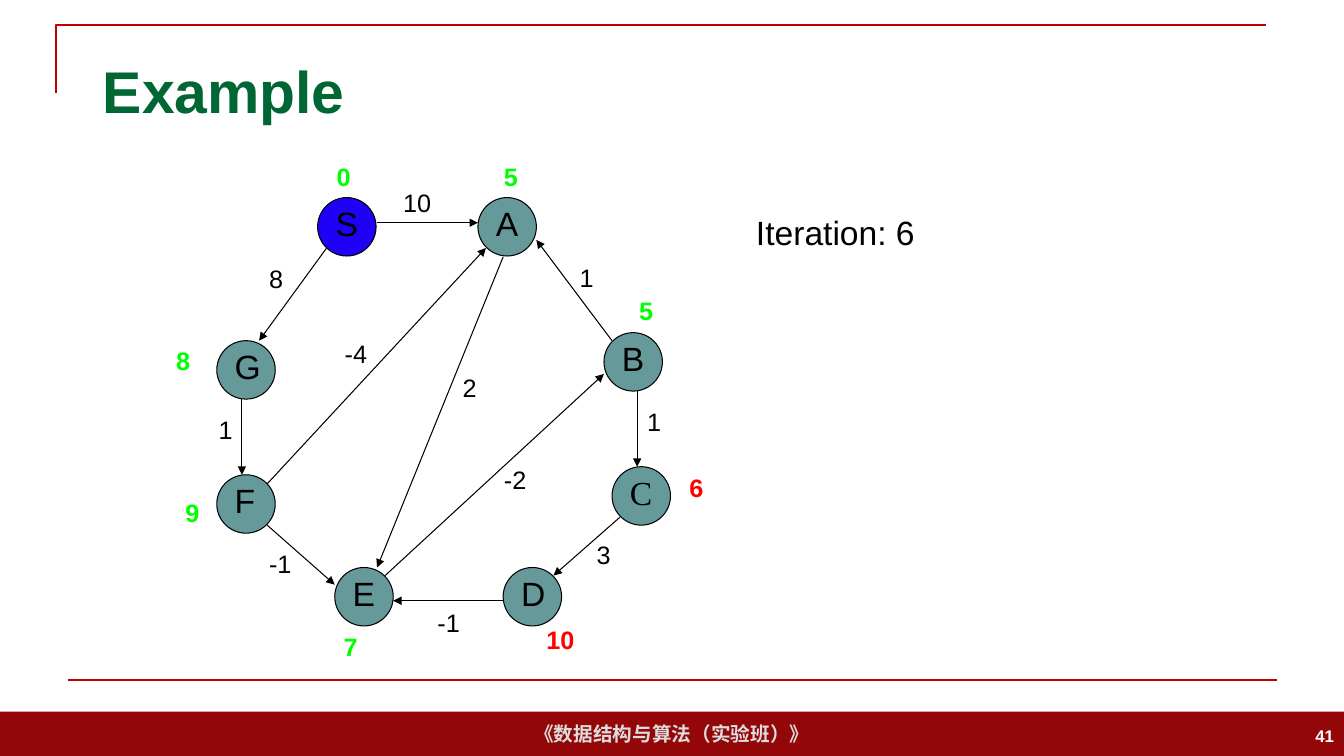
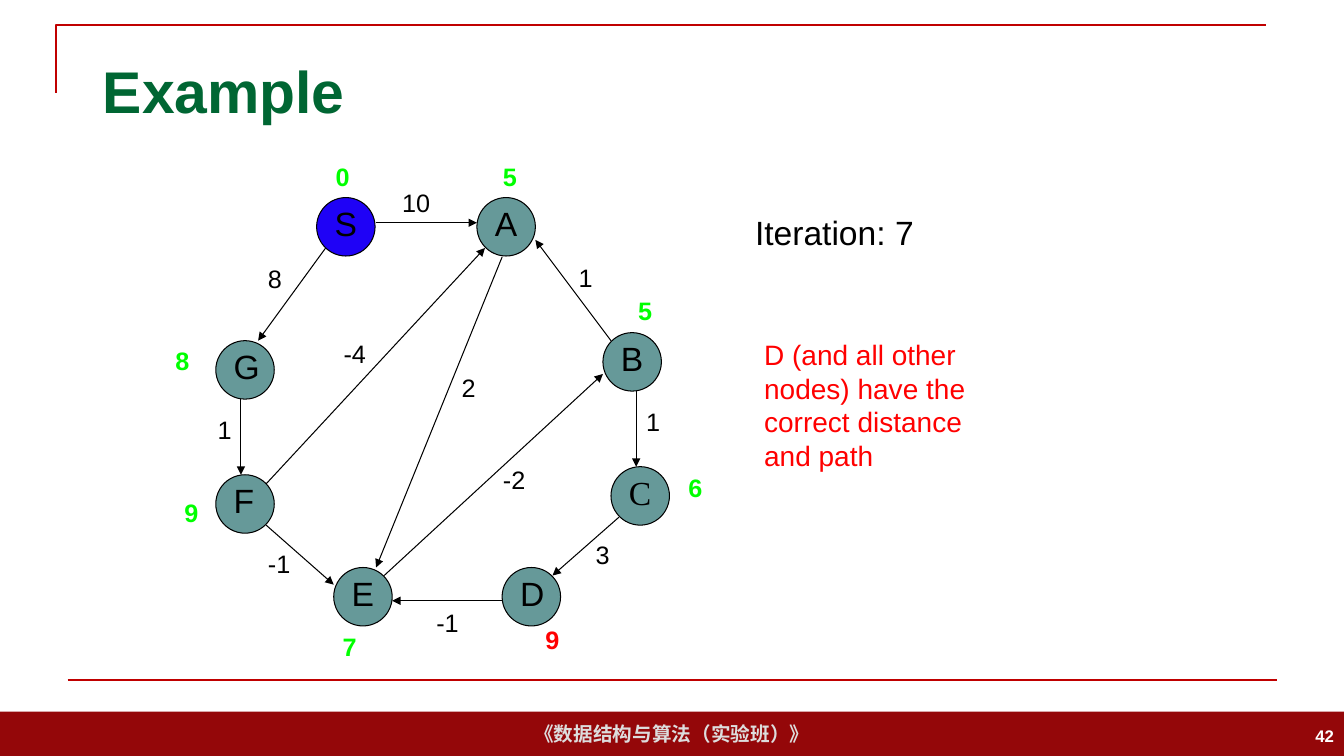
"""Build two slides that step through shortest distances on a weighted graph."""
import lxml.etree
import pptx
import pptx.dml.color
import pptx.enum.shapes
import pptx.enum.text
import pptx.oxml.ns
import pptx.util

Inches = pptx.util.Inches
RGBColor = pptx.dml.color.RGBColor
Anchor = pptx.enum.text.MSO_ANCHOR
Align = pptx.enum.text.PP_ALIGN
Preset = pptx.enum.shapes.MSO_SHAPE

BLACK = RGBColor(0x00, 0x00, 0x00)
WHITE = RGBColor(0xFF, 0xFF, 0xFF)
BAND_RED = RGBColor(0x94, 0x07, 0x09)
BAND_TEXT = RGBColor(0xDD, 0xDD, 0xDD)
RULE_RED = RGBColor(0xC0, 0x00, 0x00)
TITLE_GREEN = RGBColor(0x00, 0x66, 0x33)
NODE_TEAL = RGBColor(0x66, 0x99, 0x99)
SOURCE_BLUE = RGBColor(0x1F, 0x02, 0xF6)
SETTLED_GREEN = RGBColor(0x00, 0xFF, 0x00)
CHANGING_RED = RGBColor(0xFF, 0x00, 0x00)

FOOTER = "《数据结构与算法（实验班）》"
NODE_SIZE = 0.58
LABEL_SIZE = (0.5, 0.4)

NODES = {
    "G": (2.15, 3.38), "S": (3.15, 1.96), "F": (2.15, 4.71), "E": (3.32, 5.63),
    "A": (4.74, 1.96), "D": (4.99, 5.63), "B": (5.99, 3.3), "C": (6.07, 4.63),
}
NODE_FILLS = {"S": SOURCE_BLUE}
NODE_FONTS = {"C": "Times New Roman"}

EDGES = [
    ((3.74, 2.21), (4.74, 2.21), "10", (3.9, 1.81)),
    ((6.07, 3.38), (5.32, 2.38), "1", (5.65, 2.55)),
    ((6.32, 3.88), (6.32, 4.63), "1", (6.32, 3.98)),
    ((6.15, 5.13), (5.49, 5.71), "3", (5.82, 5.3)),
    ((4.99, 5.96), (3.9, 5.96), "-1", (4.24, 5.98)),
    ((2.65, 5.21), (3.32, 5.8), "-1", (2.57, 5.39)),
    ((2.4, 3.96), (2.4, 4.71), "1", (2.07, 4.06)),
    ((3.24, 2.46), (2.57, 3.38), "8", (2.57, 2.56)),
    ((2.65, 4.8), (4.82, 2.46), "-4", (3.32, 3.31)),
    ((4.99, 2.55), (3.74, 5.63), "2", (4.49, 3.64)),
    ((3.82, 5.71), (5.99, 3.71), "-2", (4.9, 4.56)),
]

DISTANCE_PLACES = {
    "S": (3.24, 1.55), "A": (4.9, 1.55), "B": (6.24, 2.88), "C": (6.74, 4.64),
    "D": (5.32, 6.14), "E": (3.31, 6.21), "F": (1.74, 4.88), "G": (1.65, 3.38),
}
SETTLED = {"S": "0", "A": "5", "B": "5", "E": "7", "F": "9", "G": "8"}

SLIDES = [
    {"number": "41", "iteration": "Iteration: 6", "shift": 0,
     "settled": SETTLED, "changing": {"C": "6", "D": "10"}, "note": ""},
    {"number": "42", "iteration": "Iteration: 7", "shift": -0.01,
     "settled": {**SETTLED, "C": "6"}, "changing": {"D": "9"},
     "note": "D (and all other nodes) have the correct distance and path"},
]


def write(shape, text, size, color, bold=False, font="Arial", align=Align.LEFT):
    paragraph = shape.text_frame.paragraphs[0]
    paragraph.alignment = align
    run = paragraph.add_run()
    run.text = text
    run.font.name = font
    run.font.size = pptx.util.Pt(size)
    run.font.bold = bold
    run.font.color.rgb = color


def add_text(shapes, place, extent, text, size, color, **style):
    box = shapes.add_textbox(*map(Inches, (*place, *extent)))
    box.text_frame.word_wrap = True
    write(box, text, size, color, **style)
    return box


def add_line(shapes, start, end, color, width):
    connector = shapes.add_connector(
        pptx.enum.shapes.MSO_CONNECTOR.STRAIGHT, *map(Inches, (*start, *end)))
    connector.line.color.rgb = color
    connector.line.width = pptx.util.Pt(width)
    lxml.etree.SubElement(connector.element.spPr, pptx.oxml.ns.qn("a:effectLst"))
    return connector


def add_arrow(shapes, start, end):
    connector = add_line(shapes, start, end, BLACK, 0.75)
    outline = connector.element.spPr.find(pptx.oxml.ns.qn("a:ln"))
    lxml.etree.SubElement(outline, pptx.oxml.ns.qn("a:tailEnd"), type="triangle")


def prepare_layout(presentation):
    layout = presentation.slide_layouts.get_by_name("Title Only")
    for placeholder in list(layout.placeholders):
        if placeholder.placeholder_format.idx:
            layout.shapes.element.remove(placeholder.element)
    title = layout.placeholders[0]
    title.left, title.top, title.width, title.height = map(
        Inches, (0.92, 0.4, 11.5, 0.99))
    title.text_frame.vertical_anchor = Anchor.MIDDLE
    return layout


def add_frame(slide, layout):
    """Draw the shared band and rules and hand them to the layout."""
    band = slide.shapes.add_shape(
        Preset.RECTANGLE, *map(Inches, (0, 7.06, 13.33, 0.44)))
    band.shadow.inherit = False
    band.fill.solid()
    band.fill.fore_color.rgb = BAND_RED
    band.line.fill.background()
    band.text_frame.word_wrap = False
    band.text_frame.vertical_anchor = Anchor.MIDDLE
    write(band, FOOTER, 14, BAND_TEXT, bold=True, align=Align.CENTER)

    builder = slide.shapes.build_freeform(Inches(0.56), Inches(0.92))
    builder.add_line_segments(
        [(Inches(0.56), Inches(0.25)), (Inches(12.56), Inches(0.25))], close=False)
    corner = builder.convert_to_shape()
    corner.shadow.inherit = False
    corner.fill.background()
    corner.line.color.rgb = RULE_RED
    corner.line.width = pptx.util.Pt(1.5)

    rule = add_line(slide.shapes, (0.67, 6.75), (12.67, 6.75), RULE_RED, 1.5)
    for shape in (band, corner, rule):
        layout.shapes.element.append(shape.element)


def add_node(slide, name, place):
    left, top = place
    shapes = slide.shapes.add_group_shape().shapes
    circle = shapes.add_shape(
        Preset.OVAL, *map(Inches, (left, top, NODE_SIZE, NODE_SIZE)))
    circle.shadow.inherit = False
    circle.fill.solid()
    circle.fill.fore_color.rgb = NODE_FILLS.get(name, NODE_TEAL)
    circle.line.color.rgb = BLACK
    circle.line.width = pptx.util.Pt(0.75)
    add_text(shapes, (left + 0.08, top), (0.5, 0.5), name, 24, BLACK,
             font=NODE_FONTS.get(name, "Arial"))


def add_graph(slide, content):
    def moved(place):
        return place[0] + content["shift"], place[1]

    for name, place in NODES.items():
        add_node(slide, name, moved(place))
    for start, end, weight, place in EDGES:
        add_arrow(slide.shapes, moved(start), moved(end))
        add_text(slide.shapes, moved(place), LABEL_SIZE, weight, 18, BLACK)
    for state, color in (("settled", SETTLED_GREEN), ("changing", CHANGING_RED)):
        for name, distance in content[state].items():
            add_text(slide.shapes, moved(DISTANCE_PLACES[name]), LABEL_SIZE,
                     distance, 18, color, bold=True)
    add_text(slide.shapes, moved((7.4, 2.05)), (2.33, 0.5),
             content["iteration"], 24, BLACK)


def main():
    presentation = pptx.Presentation()
    presentation.slide_width = Inches(13.33)
    presentation.slide_height = Inches(7.5)
    layout = prepare_layout(presentation)
    for index, content in enumerate(SLIDES):
        slide = presentation.slides.add_slide(layout)
        if index == 0:
            add_frame(slide, layout)
        write(slide.shapes.title, "Example", 42, TITLE_GREEN, bold=True)
        number = add_text(slide.shapes, (10.33, 7.1), (3, 0.4), content["number"],
                          12, WHITE, bold=True, align=Align.RIGHT)
        number.text_frame.vertical_anchor = Anchor.MIDDLE
        add_graph(slide, content)
        if content["note"]:
            add_text(slide.shapes, (7.48, 3.3), (2.42, 1.43), content["note"],
                     20, CHANGING_RED)
    presentation.save("out.pptx")


if __name__ == "__main__":
    main()
